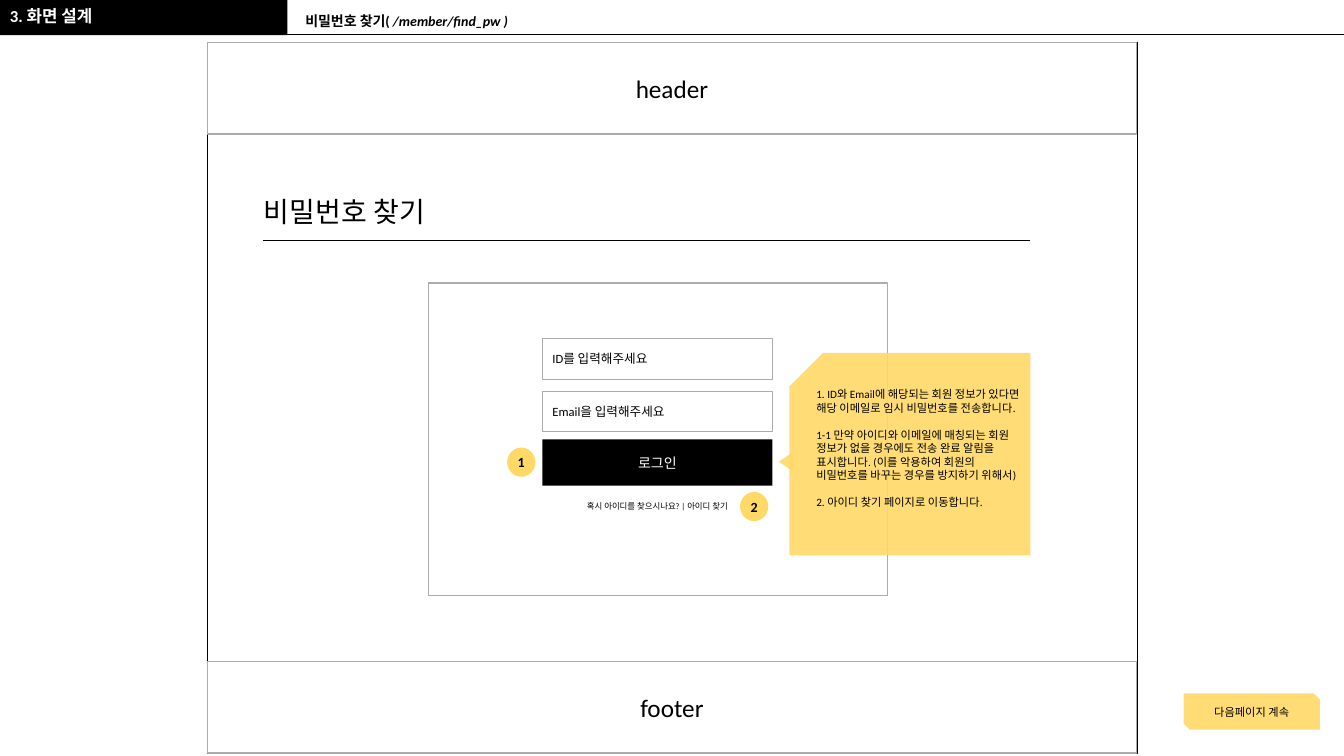
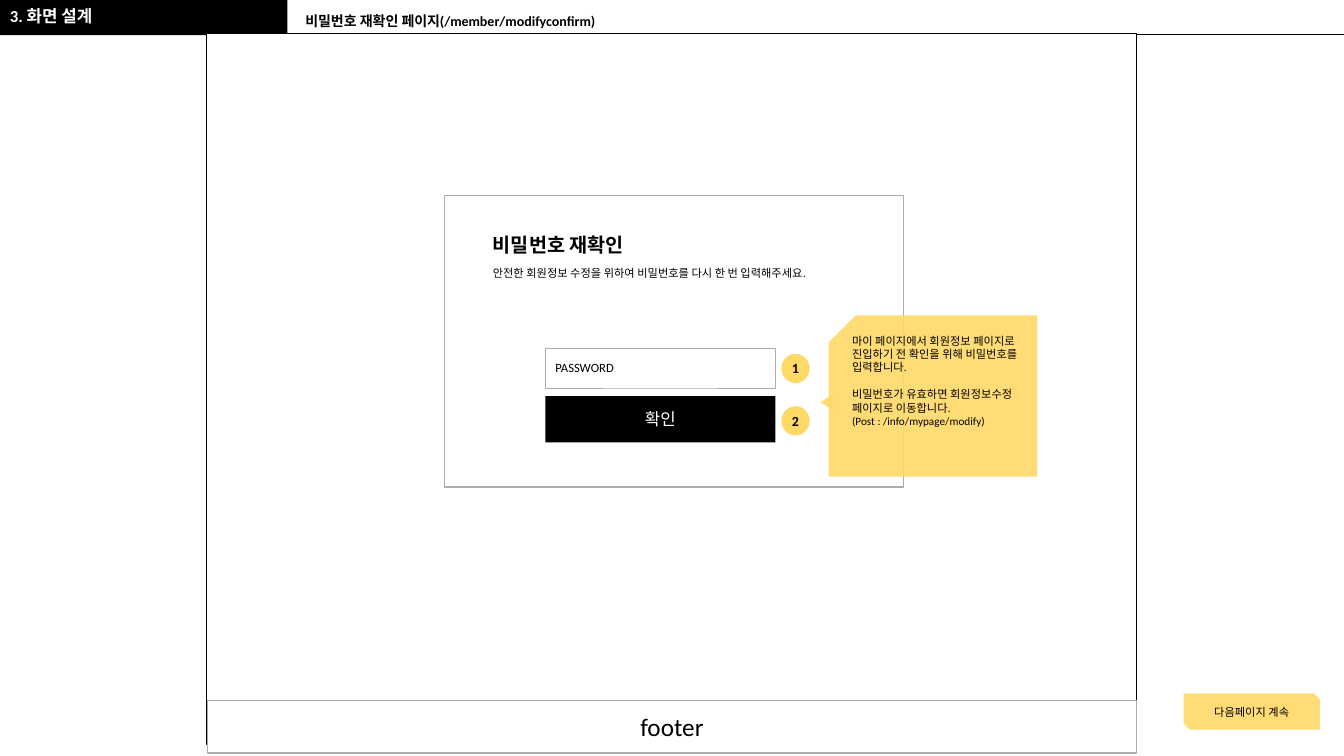
from pptx import Presentation
from pptx.dml.color import RGBColor
from pptx.enum.shapes import MSO_CONNECTOR, MSO_SHAPE
from pptx.enum.text import MSO_ANCHOR, PP_ALIGN
from pptx.oxml.ns import qn
from pptx.util import Inches, Pt
from lxml.etree import SubElement

BLACK = RGBColor(0, 0, 0)
WHITE = RGBColor(255, 255, 255)
GRAY = RGBColor(0xAF, 0xAB, 0xAB)
GOLD = RGBColor(0xFF, 0xD9, 0x66)
FONT = "Calibri"
RECT = MSO_SHAPE.RECTANGLE
LEFT, MID = PP_ALIGN.LEFT, PP_ALIGN.CENTER


def box(page, kind, at, fill=None, line=None, width=1, alpha=None, text="",
        size=9, color=BLACK, bold=False, align=MID, anchor=MSO_ANCHOR.MIDDLE):
    place = [Inches(n) for n in at]
    if kind is None:
        shape = page.shapes.add_textbox(*place)
    else:
        shape = page.shapes.add_shape(kind, *place)
        shape.shadow.inherit = False
        shape.fill.solid()
        shape.fill.fore_color.rgb = fill
        if line is None:
            shape.line.fill.background()
        else:
            shape.line.color.rgb = line
            shape.line.width = Pt(width)
        if alpha:
            tone = shape.element.spPr.find(qn("a:solidFill"))[0]
            SubElement(tone, qn("a:alpha")).set("val", str(alpha * 1000))
    frame = shape.text_frame
    frame.word_wrap = True
    frame.vertical_anchor = anchor
    if text:
        frame.text = text
    for para in frame.paragraphs:
        para.alignment = align
        for run in para.runs:
            run.font.name = FONT
            run.font.size = Pt(size)
            run.font.color.rgb = color
            run.font.bold = bold
    return shape


def rule(page, left, right, top):
    line = page.shapes.add_connector(
        MSO_CONNECTOR.STRAIGHT, Inches(left), Inches(top), Inches(right), Inches(top))
    line.line.color.rgb = BLACK
    line.line.width = Pt(0.5)
    SubElement(line.element.spPr, qn("a:effectLst"))


deck = Presentation()
deck.slide_width = Inches(13.33)
deck.slide_height = Inches(7.5)

views = [
    dict(
        title="비밀번호 찾기( ", route="/member/find_pw )",
        frame=(2.06, 0.42, 9.22, 7.05), panel=(4.25, 2.81, 4.55, 3.1),
        bands=[("header", 0.42, 0.91), ("footer", 6.56, 0.91)],
        left=5.38, fields=[("ID를 입력해주세요", 3.36), ("Email을 입력해주세요", 3.88)],
        button=("로그인", 4.36, 10), marks=[(5.03, 4.44), (7.34, 4.88)],
        note=(7.83, 3.5, 2.39, 2.01), tip=(7.7, 4.51, 0.19, 0.14),
        inset=0.18, gaps=[1, 2],
        words=["1. ID와 Email에 해당되는 회원 정보가 있다면 해당 이메일로 임시 비밀번호를 전송합니다.",
               "1-1 만약 아이디와 이메일에 매칭되는 회원 정보가 없을 경우에도 전송 완료 알림을 "
               "표시합니다. (이를 악용하여 회원의 비밀번호를 바꾸는 경우를 방지하기 위해서)",
               "2. 아이디 찾기 페이지로 이동합니다."]),
    dict(
        title="비밀번호 재확인 페이지(/member/modifyconfirm)", route="",
        frame=(2.05, 0.33, 9.22, 7.05), panel=(4.41, 1.94, 4.55, 2.89),
        bands=[("footer", 6.95, 0.52)],
        left=5.41, fields=[("PASSWORD", 3.45)],
        button=("확인", 3.93, 12), marks=[(7.75, 3.51), (7.75, 4.03)],
        note=(8.22, 3.13, 2.07, 1.6), tip=(8.12, 3.93, 0.15, 0.12),
        inset=0.05, gaps=[1],
        words=["마이 페이지에서 회원정보 페이지로 진입하기 전 확인을 위해 비밀번호를 입력합니다.",
               "비밀번호가 유효하면 회원정보수정 페이지로 이동합니다.",
               "(Post : /info/mypage/modify)"]),
]

pages = []
for view in views:
    page = deck.slides.add_slide(deck.slide_layouts[6])
    pages.append(page)
    box(page, RECT, (0, 0, 2.85, 0.35), BLACK)
    rule(page, 2.76, 13.33, 0.34)
    box(page, RECT, view["frame"], WHITE, BLACK)
    box(page, RECT, view["panel"], WHITE, GRAY)

    heads = [((0, 0.03, 2.85, 0.32), "3. 화면 설계", 12, WHITE),
             ((2.93, 0.09, 8.57, 0.26), view["title"], 10, BLACK)]
    for at, text, size, color in heads:
        head = box(page, None, at, text=text, size=size, color=color, bold=True,
                   align=LEFT, anchor=MSO_ANCHOR.TOP)
        para = head.text_frame.paragraphs[0]
        para.line_spacing = 0.9
    if view["route"]:
        run = para.add_run()
        run.text = view["route"]
        run.font.name = FONT
        run.font.size = Pt(10)
        run.font.color.rgb = BLACK
        run.font.bold = run.font.italic = True

    for text, top, high in view["bands"]:
        box(page, RECT, (2.06, top, 9.21, high), WHITE, GRAY, text=text, size=18)
    for text, top in view["fields"]:
        box(page, RECT, (view["left"], top, 2.28, 0.4), WHITE, GRAY, 0.25,
            text=text, align=LEFT)
    text, top, size = view["button"]
    box(page, RECT, (view["left"], top, 2.28, 0.46), BLACK,
        text=text, size=size, color=WHITE)

    for num, (left, top) in enumerate(view["marks"], 1):
        mark = box(page, MSO_SHAPE.OVAL, (left, top, 0.28, 0.29), GOLD,
                   text=str(num), size=10, bold=True)
        frame = mark.text_frame
        frame.word_wrap = False
        frame.margin_left = frame.margin_right = 0
        frame.margin_top = frame.margin_bottom = 0

    note = box(page, MSO_SHAPE.SNIP_1_RECTANGLE, view["note"], GOLD, alpha=90,
               text="\n".join(view["words"]), size=8, align=LEFT, anchor=MSO_ANCHOR.TOP)
    note.element.spPr.find(qn("a:xfrm")).set("flipH", "1")
    note.text_frame.margin_top = Inches(view["inset"])
    for spot in view["gaps"]:
        note.text_frame.paragraphs[spot].space_before = Pt(9.7)
    tip = box(page, MSO_SHAPE.ISOSCELES_TRIANGLE, view["tip"], GOLD, alpha=90)
    tip.rotation = 270
    box(page, MSO_SHAPE.SNIP_2_DIAG_RECTANGLE, (11.74, 6.88, 1.35, 0.36), GOLD,
        alpha=90, text="다음페이지 계속", size=8)

find, check = pages
box(find, None, (2.52, 1.88, 3.9, 0.44), text="비밀번호 찾기", size=20,
    align=LEFT, anchor=MSO_ANCHOR.TOP)
rule(find, 2.61, 10.22, 2.38)
box(find, None, (5.56, 4.92, 1.92, 0.2), text="혹시 아이디를 찾으시나요? | 아이디 찾기",
    size=6, anchor=MSO_ANCHOR.TOP)

box(check, RECT, (4.79, 2.23, 2.28, 0.4), WHITE, text="비밀번호 재확인",
    size=14, bold=True, align=LEFT)
box(check, RECT, (4.79, 2.59, 3.87, 0.24), WHITE, size=8, align=LEFT,
    text="안전한 회원정보 수정을 위하여 비밀번호를 다시 한 번 입력해주세요.")

deck.save("out.pptx")
